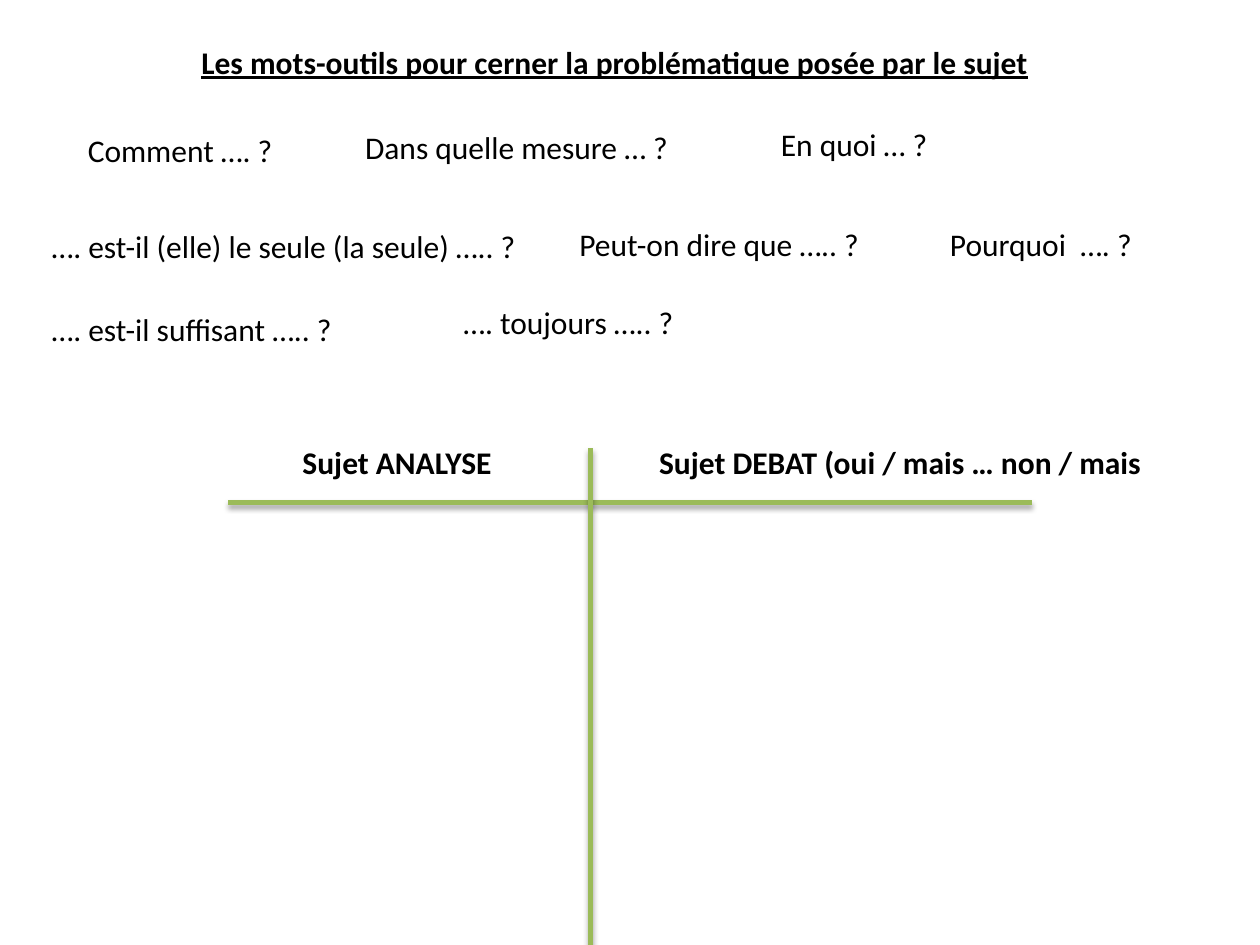
from collections import namedtuple
from dataclasses import dataclass

from lxml.etree import SubElement
from pptx import Presentation
from pptx.dml.color import RGBColor
from pptx.enum.shapes import MSO_CONNECTOR
from pptx.enum.text import MSO_ANCHOR, MSO_AUTO_SIZE, PP_ALIGN
from pptx.oxml.ns import qn
from pptx.util import Cm, Pt


@dataclass(frozen=True)
class Theme:
    font: str = "Calibri"
    text_size: float = 18
    text_color: str = "000000"
    line_color: str = "9BBB59"
    line_width: float = 3
    shadow_color: str = "000000"


THEME = Theme()
Box = namedtuple("Box", "left top width height")
TEXT_HEIGHT = 1.02

# Text, offset from the region's left and top, width
QUESTIONS = [
    ("Comment …. ?", 0.73, 0.12, 9.6),
    ("Dans quelle mesure … ?", 6.32, 0.07, 9.6),
    ("En quoi … ?", 14.7, 0, 9.6),
    ("…. est-il (elle) le seule (la seule) ….. ?", 0, 2.06, 10.59),
    ("Peut-on dire que ….. ?", 10.64, 2.03, 9.6),
    ("Pourquoi  …. ?", 18.11, 2.03, 9.6),
    ("…. est-il suffisant ….. ?", 0, 3.73, 9.6),
    ("…. toujours ….. ?", 8.3, 3.6, 10.59),
]


def write_text(shape, text, *, bold=False, underline=False, align=PP_ALIGN.LEFT):
    frame = shape.text_frame
    frame.word_wrap = True
    frame.auto_size = MSO_AUTO_SIZE.SHAPE_TO_FIT_TEXT
    frame.vertical_anchor = MSO_ANCHOR.TOP
    paragraph = frame.paragraphs[0]
    paragraph.alignment = align
    run = paragraph.add_run()
    run.text = text
    font = run.font
    font.name = THEME.font
    font.size = Pt(THEME.text_size)
    font.bold = bold
    font.underline = underline
    font.color.rgb = RGBColor.from_string(THEME.text_color)


def add_text(slide, text, left, top, width, **text_format):
    shape = slide.shapes.add_textbox(Cm(left), Cm(top), Cm(width), Cm(TEXT_HEIGHT))
    write_text(shape, text, **text_format)


def add_shadowed_line(slide, *ends):
    line = slide.shapes.add_connector(MSO_CONNECTOR.STRAIGHT, *map(Cm, ends))
    line.line.color.rgb = RGBColor.from_string(THEME.line_color)
    line.line.width = Pt(THEME.line_width)
    # Soft shadow falling straight down
    effects = SubElement(line._element.spPr, qn("a:effectLst"))
    shadow = SubElement(effects, qn("a:outerShdw"), blurRad=str(Pt(3.1)),
                        dist=str(Pt(1.8)), dir="5400000", rotWithShape="0")
    color = SubElement(shadow, qn("a:srgbClr"), val=THEME.shadow_color)
    SubElement(color, qn("a:alpha"), val="35000")


def add_title(slide, box):
    title = slide.shapes.title
    title.left, title.top, title.width, title.height = map(Cm, box)
    write_text(title, "Les mots-outils pour cerner la problématique posée par le sujet",
               bold=True, underline=True, align=PP_ALIGN.CENTER)


def add_questions(slide, box):
    for text, left, top, width in QUESTIONS:
        add_text(slide, text, box.left + left, box.top + top, width)


def add_two_column_chart(slide, box):
    # Header rule and column divider
    rule_top = box.top + 1.32
    divider = box.left + 7.31
    add_shadowed_line(slide, box.left, rule_top, box.left + box.width, rule_top)
    add_shadowed_line(slide, divider, box.top + 0.23, divider, box.top + box.height)

    # Column headings
    headings = [("Sujet ANALYSE", 0, 6.81),
                ("Sujet DEBAT (oui / mais … non / mais ", 7.74, 11.76)]
    for text, left, width in headings:
        add_text(slide, text, box.left + left, box.top, width,
                 bold=True, align=PP_ALIGN.CENTER)


def main():
    presentation = Presentation()
    presentation.slide_width = Cm(25.4)
    presentation.slide_height = Cm(19.05)
    title_only = presentation.slide_layouts[5]
    slide = presentation.slides.add_slide(title_only)

    add_title(slide, Box(1.09, 0.74, 22.61, TEXT_HEIGHT))
    add_questions(slide, Box(0.79, 2.39, 24.61, 4.75))
    add_two_column_chart(slide, Box(4.6, 8.81, 16.2, 10.24))

    presentation.save("out.pptx")


if __name__ == "__main__":
    main()
